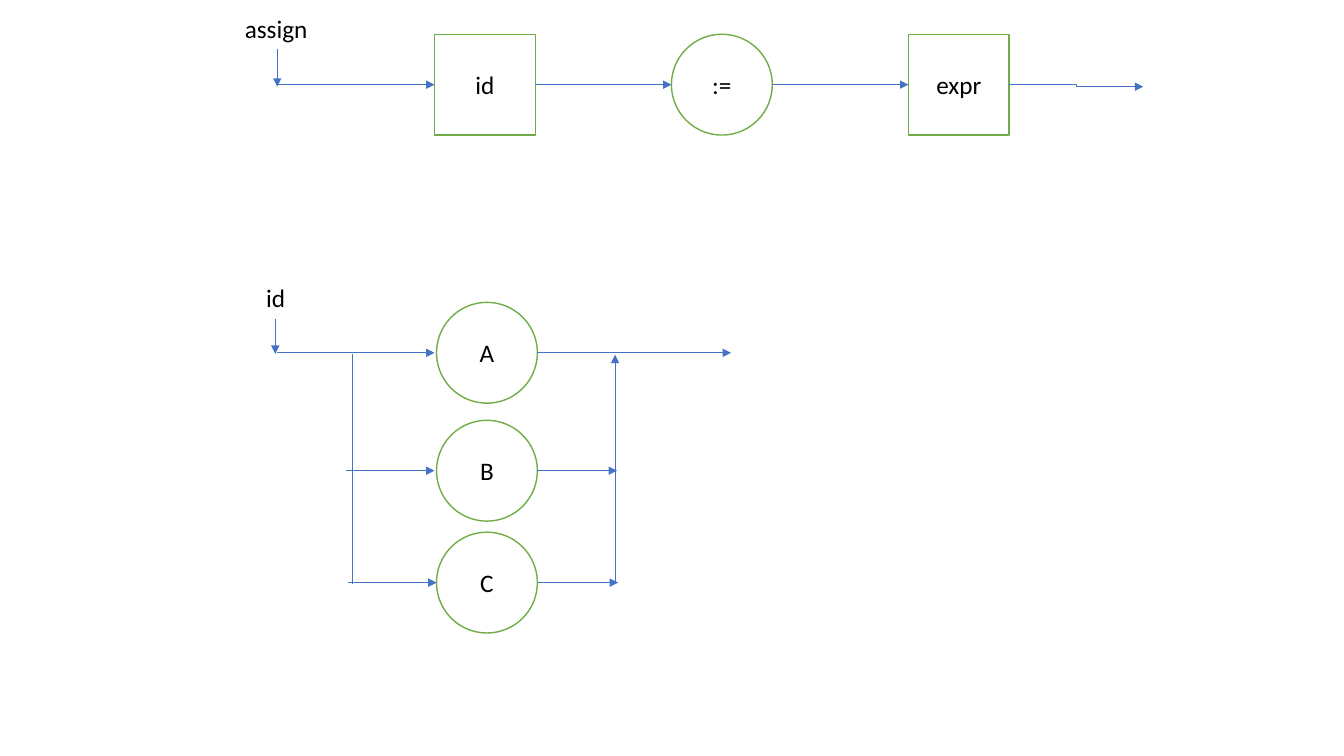
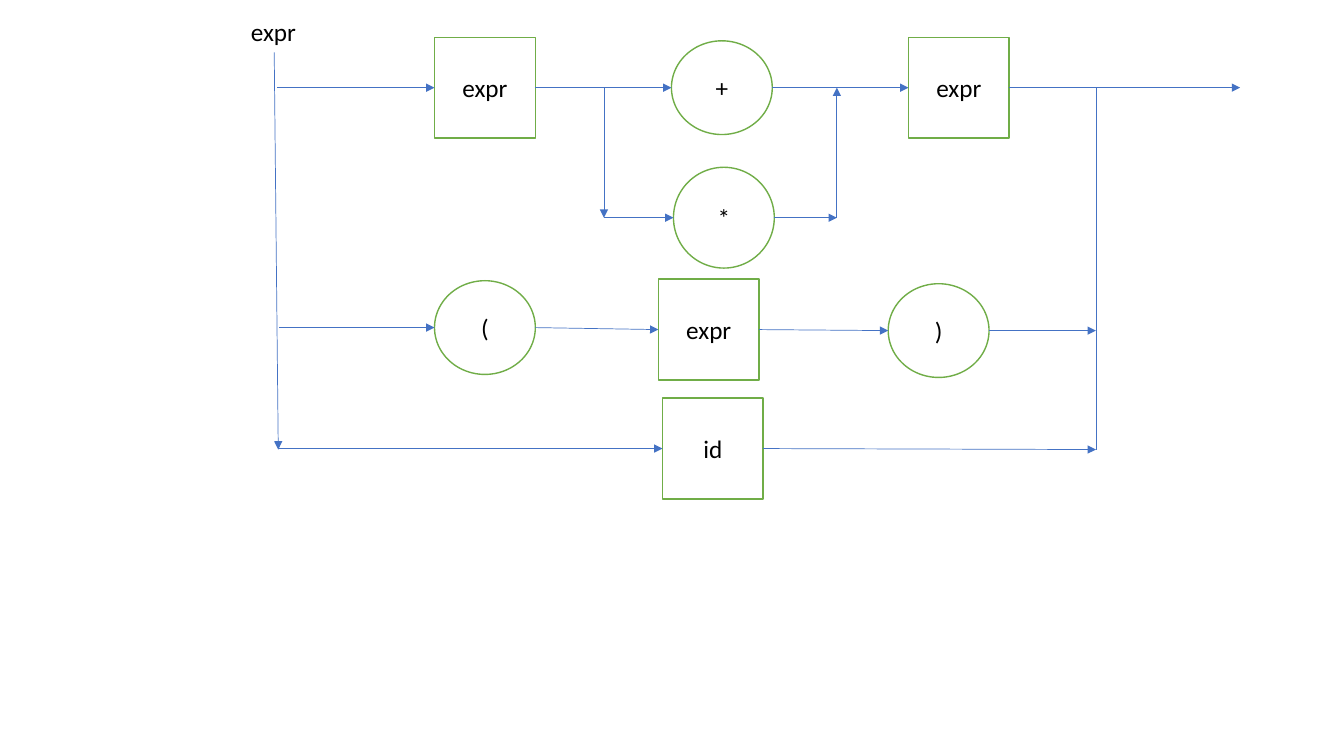
from pptx import Presentation
from pptx.dml.color import RGBColor
from pptx.enum.shapes import MSO_CONNECTOR as Link, MSO_SHAPE as Form
from pptx.enum.text import MSO_ANCHOR as Anchor, MSO_AUTO_SIZE as Auto, PP_ALIGN as Align
from pptx.oxml.ns import qn
from pptx.util import Inches, Pt
from lxml.etree import SubElement

# Shared look
GREEN = RGBColor(0x70, 0xAD, 0x47)
BLUE = RGBColor(0x44, 0x72, 0xC4)
WHITE = RGBColor(0xFF, 0xFF, 0xFF)
BLACK = RGBColor(0, 0, 0)
RECT, OVAL = Form.RECTANGLE, Form.OVAL
SIDE, HALF, FLAT = 1, 0.5, 0.93

# Shared columns: the entry rail and the three symbol centres
RAIL, ONE, TWO, THREE = 2.75, 4.81, 7.16, 9.51


def write(frame, text):
    run = frame.paragraphs[0].add_run()
    run.text = text
    run.font.name = "Calibri"
    run.font.size = Pt(18)
    run.font.color.rgb = BLACK


def link(slide, ends, form=Link.STRAIGHT, head=True):
    line = slide.shapes.add_connector(form, *[Inches(v) for v in ends])
    line.line.color.rgb = BLUE
    line.line.width = Pt(0.5)
    if head:
        SubElement(line.line._get_or_add_ln(), qn("a:tailEnd"), type="triangle")
    SubElement(line._element.spPr, qn("a:effectLst"))


# Slide 1: rows of the assign and id rules, and the rails of id
TOP = 0.84
A, B, C = 3.5, 4.67, 5.78
MID, FORK, JOIN = 4.83, 3.49, 6.1
first = {
    "labels": [("assign", 2.33, 0.08, 0.83), ("id", 2.54, 2.75, 0.39)],
    "nodes": [
        (RECT, "id", ONE, TOP, SIDE),
        (OVAL, ":=", TWO, TOP, SIDE),
        (RECT, "expr", THREE, TOP, SIDE),
        (OVAL, "A", MID, A, SIDE),
        (OVAL, "B", MID, B, SIDE),
        (OVAL, "C", MID, C, SIDE),
    ],
    "arrows": [
        (RAIL, 0.49, RAIL, 0.86),
        (RAIL, TOP, ONE - HALF, TOP),
        (ONE + HALF, TOP, TWO - HALF, TOP),
        (TWO + HALF, TOP, THREE - HALF, TOP),
        (2.73, 3.16, 2.73, 3.51),
        (RAIL, A, 4.31, A),
        (MID + HALF, A, 7.25, A),
        (3.43, B, 4.31, B),
        (MID + HALF, B, 6.12, B),
        (3.45, C, MID - HALF, C),
        (5.34, C, 6.13, C),
        (JOIN, 5.79, JOIN, 3.52),
    ],
    "bends": [(THREE + HALF, TOP, 11.34, 0.86)],
    "rails": [(FORK, 3.51, FORK, 5.79)],
}

# Slide 2: rows of the expr rule, and its rails
SUM, STAR, PAIR, NAME = 0.87, 2.16, 3.25, 4.45
FORK, JOIN, EXIT = 5.99, 8.3, 10.87
second = {
    "labels": [("expr", 2.39, 0.11, 0.65)],
    "nodes": [
        (RECT, "expr", ONE, SUM, SIDE),
        (OVAL, "+", TWO, SUM, FLAT),
        (RECT, "expr", THREE, SUM, SIDE),
        (OVAL, "*", 7.18, STAR, SIDE),
        (OVAL, "(", ONE, PAIR, FLAT),
        (RECT, "expr", 7.03, 3.27, SIDE),
        (OVAL, ")", 9.31, 3.28, FLAT),
        (RECT, "id", 7.07, NAME, SIDE),
    ],
    "arrows": [
        (2.72, 0.52, 2.76, 4.46),
        (RAIL, SUM, ONE - HALF, SUM),
        (ONE + HALF, SUM, TWO - HALF, SUM),
        (TWO + HALF, SUM, THREE - HALF, SUM),
        (THREE + HALF, SUM, 12.3, SUM),
        (FORK, SUM, FORK, STAR),
        (FORK, STAR, 6.68, STAR),
        (7.68, STAR, JOIN, STAR),
        (JOIN, STAR, JOIN, SUM),
        (2.77, PAIR, ONE - HALF, PAIR),
        (ONE + HALF, PAIR, 6.53, 3.27),
        (7.53, 3.27, 8.81, 3.28),
        (9.81, 3.28, EXIT, 3.28),
        (2.76, NAME, 6.57, NAME),
        (7.57, NAME, EXIT, 4.46),
    ],
    "bends": [],
    "rails": [(EXIT, SUM, EXIT, 4.46)],
}

deck = Presentation()
deck.slide_width, deck.slide_height = Inches(13.33), Inches(7.5)
blank = deck.slide_layouts[6]

for chart in (first, second):
    slide = deck.slides.add_slide(blank)

    # Rule names
    for text, x, y, wide in chart["labels"]:
        box = slide.shapes.add_textbox(Inches(x), Inches(y), Inches(wide), Inches(0.4))
        box.text_frame.word_wrap = False
        box.text_frame.auto_size = Auto.SHAPE_TO_FIT_TEXT
        write(box.text_frame, text)

    # Symbols, placed by their centres
    for form, text, x, y, high in chart["nodes"]:
        node = slide.shapes.add_shape(form, Inches(x - HALF), Inches(y - high / 2),
                                      Inches(SIDE), Inches(high))
        node.shadow.inherit = False
        node.fill.solid()
        node.fill.fore_color.rgb = WHITE
        node.line.color.rgb = GREEN
        node.line.width = Pt(1)
        node.text_frame.vertical_anchor = Anchor.MIDDLE
        node.text_frame.paragraphs[0].alignment = Align.CENTER
        write(node.text_frame, text)

    # Flow
    for ends in chart["arrows"]:
        link(slide, ends)
    for ends in chart["bends"]:
        link(slide, ends, Link.ELBOW)
    for ends in chart["rails"]:
        link(slide, ends, head=False)

deck.save("out.pptx")
